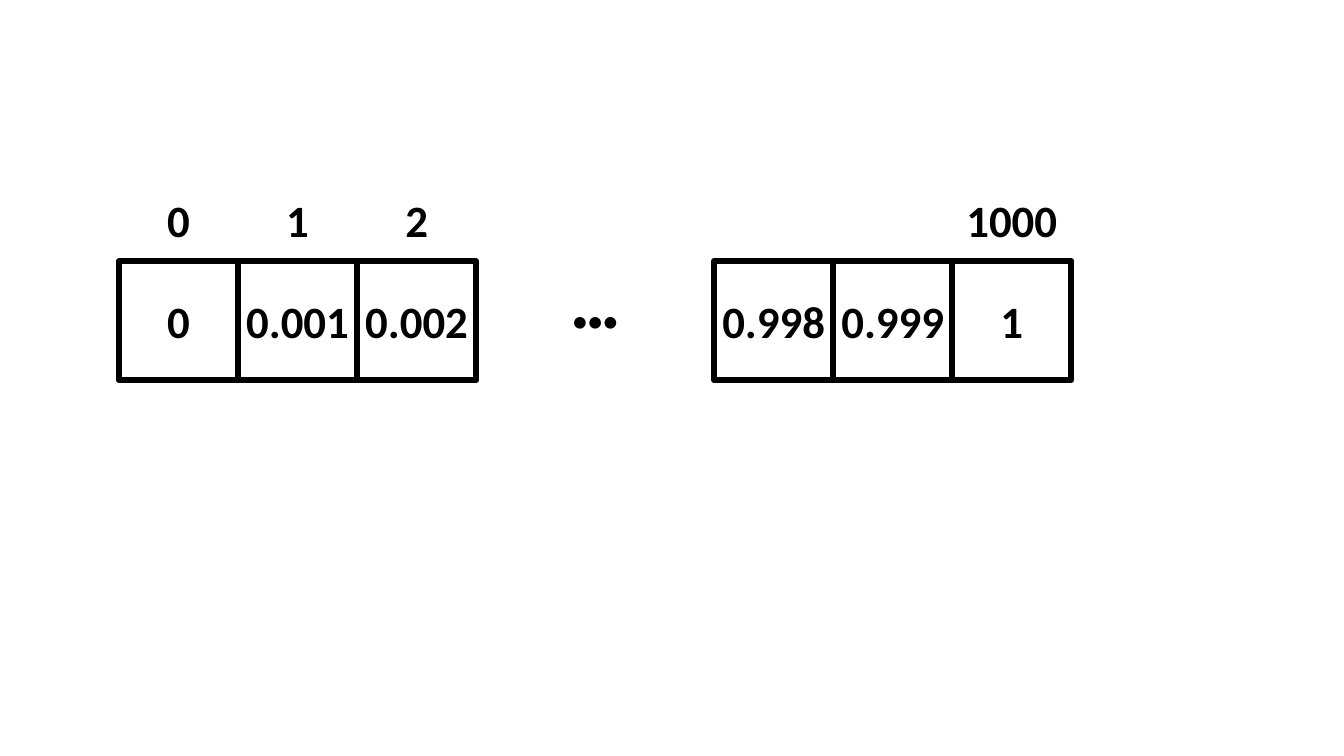
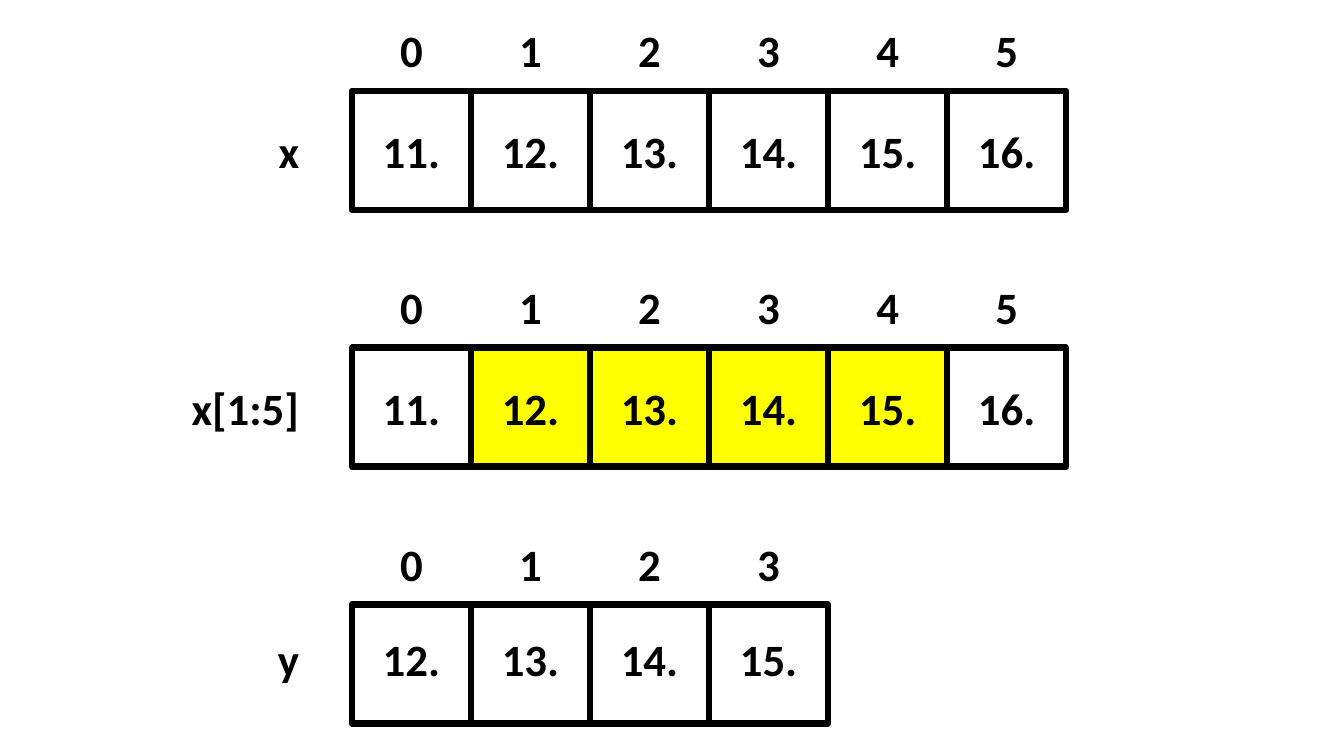
from dataclasses import dataclass

from pptx import Presentation
from pptx.dml.color import RGBColor
from pptx.enum.shapes import MSO_SHAPE
from pptx.enum.text import MSO_ANCHOR, PP_ALIGN
from pptx.util import Cm, Pt


@dataclass(frozen=True)
class Theme:
    font: str = "Calibri"
    ink: RGBColor = RGBColor(0x00, 0x00, 0x00)
    highlight: RGBColor = RGBColor(0xFF, 0xFF, 0x00)
    label_size: Pt = Pt(32)
    dots_size: Pt = Pt(18)
    border: Pt = Pt(4.5)


THEME = Theme()

# Array geometry in centimetres
CELL = 3
INDEX_HEIGHT = 1.63
INDEX_RISE = 1.85  # from the top of an index label to the top of its cell
NAME_WIDTH = 4
NAME_GAP = 1.33


def write(shape, text, align=PP_ALIGN.CENTER, size=THEME.label_size,
          bold=True, lift=0):
    """Put one line of text in a shape, raised by lift."""
    frame = shape.text_frame
    frame_format = {
        "word_wrap": False, "vertical_anchor": MSO_ANCHOR.MIDDLE,
        "margin_left": 0, "margin_right": 0,
        "margin_top": 0, "margin_bottom": Cm(2 * lift),
    }
    for name, value in frame_format.items():
        setattr(frame, name, value)
    line = frame.paragraphs[0]
    line.alignment = align
    run = line.add_run()
    run.text = text
    for name, value in {"name": THEME.font, "size": size, "bold": bold}.items():
        setattr(run.font, name, value)
    run.font.color.rgb = THEME.ink


def add_label(slide, text, left, top, width, height, **text_format):
    box = slide.shapes.add_textbox(Cm(left), Cm(top), Cm(width), Cm(height))
    write(box, text, **text_format)


def add_cell(slide, value, left, top, marked, lift):
    cell = slide.shapes.add_shape(
        MSO_SHAPE.RECTANGLE, Cm(left), Cm(top), Cm(CELL), Cm(CELL))
    cell.shadow.inherit = False
    if marked:
        cell.fill.solid()
        cell.fill.fore_color.rgb = THEME.highlight
    else:
        cell.fill.background()
    cell.line.color.rgb = THEME.ink
    cell.line.width = THEME.border
    write(cell, value, lift=lift)


def add_array(slide, left, top, values, indices, name=None, marked=(), lift=0):
    """Draw a row of cells with indices above and a name on the left."""
    for position, value in enumerate(values):
        add_cell(slide, value, left + position * CELL, top,
                 position in marked, lift)
    for position in indices:
        add_label(slide, indices[position], left + position * CELL,
                  top - INDEX_RISE, CELL, INDEX_HEIGHT)
    if name:
        add_label(slide, name, left - NAME_GAP - NAME_WIDTH, top,
                  NAME_WIDTH, CELL, align=PP_ALIGN.RIGHT, lift=lift)


def count_up(values):
    return {position: str(position) for position in range(len(values))}


def build_long_array(slide, left=3, top=6.58, gap=6):
    """Show both ends of a long array with dots between them."""
    start = ["0", "0.001", "0.002"]
    end = ["0.998", "0.999", "1"]
    dots_left = left + len(start) * CELL
    add_array(slide, left, top, start, count_up(start))
    add_label(slide, "●●●", dots_left, top, gap, CELL,
              size=THEME.dots_size, bold=False)
    add_array(slide, dots_left + gap, top, end, {2: "1000"})


def build_slicing(slide, left=8.87, top=2.29, pitch=6.47):
    """Show an array, the slice taken from it and the result."""
    x = ["11.", "12.", "13.", "14.", "15.", "16."]
    taken = range(1, 5)
    y = [x[position] for position in taken]
    rows = [
        ("x", x, (), 0),
        ("x[1:5]", x, taken, 0),
        ("y", y, (), 0.13),
    ]
    for number, (name, values, marked, lift) in enumerate(rows):
        add_array(slide, left, top + number * pitch, values,
                  count_up(values), name, marked, lift)


def main():
    deck = Presentation()
    deck.slide_width, deck.slide_height = Cm(33.87), Cm(19.05)
    blank = deck.slide_layouts[6]
    for build in (build_long_array, build_slicing):
        build(deck.slides.add_slide(blank))
    deck.save("out.pptx")


if __name__ == "__main__":
    main()
